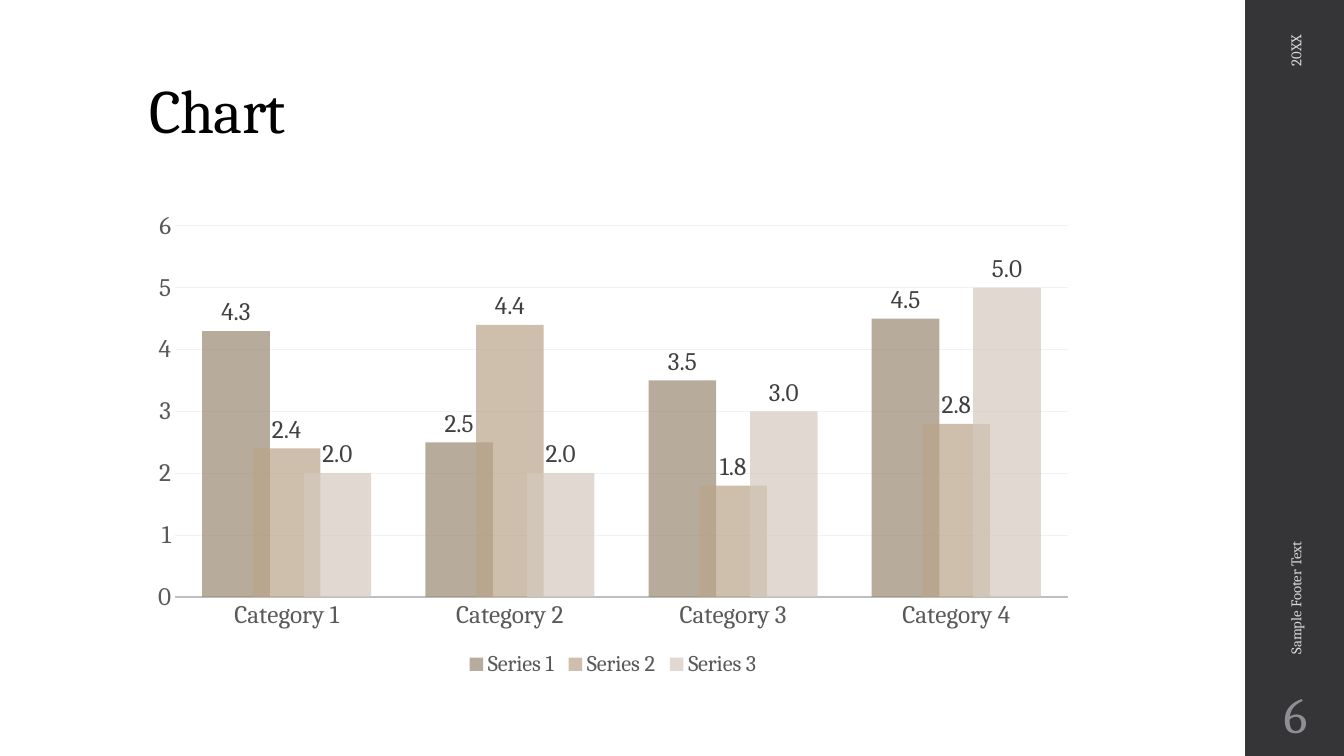
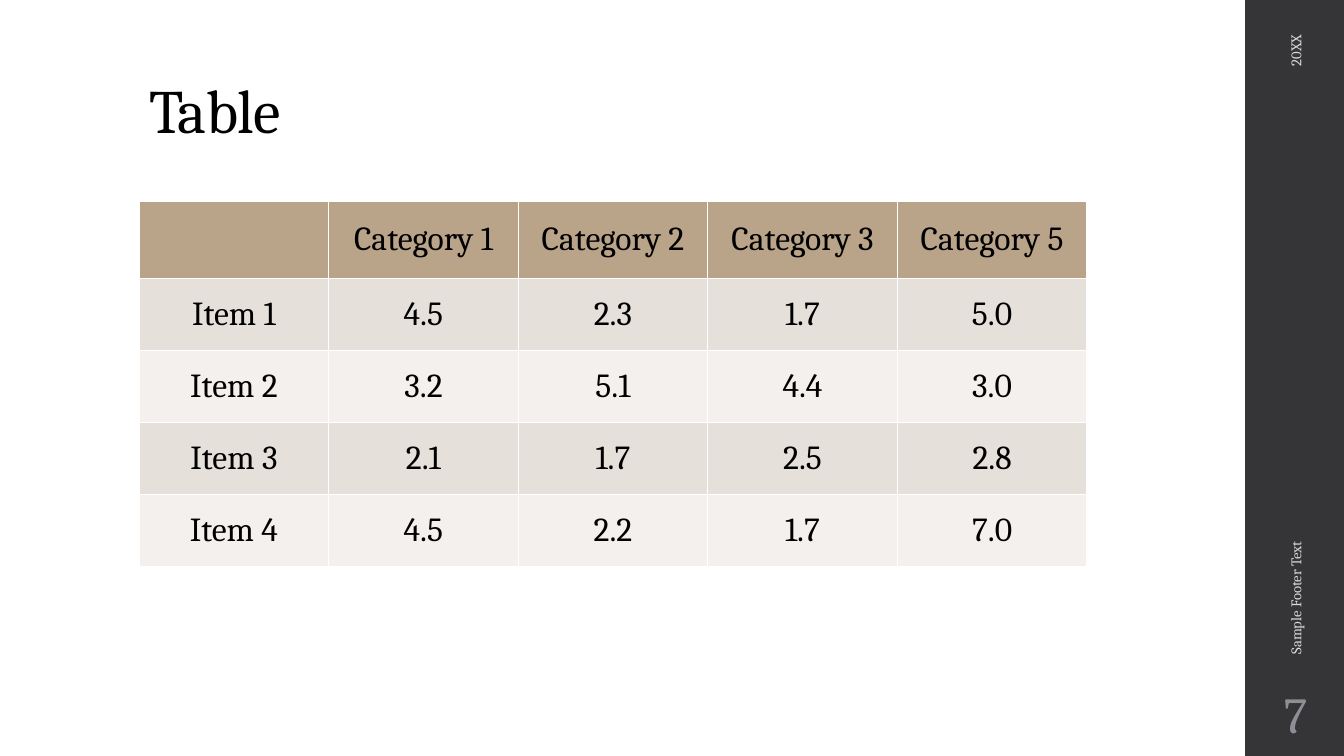
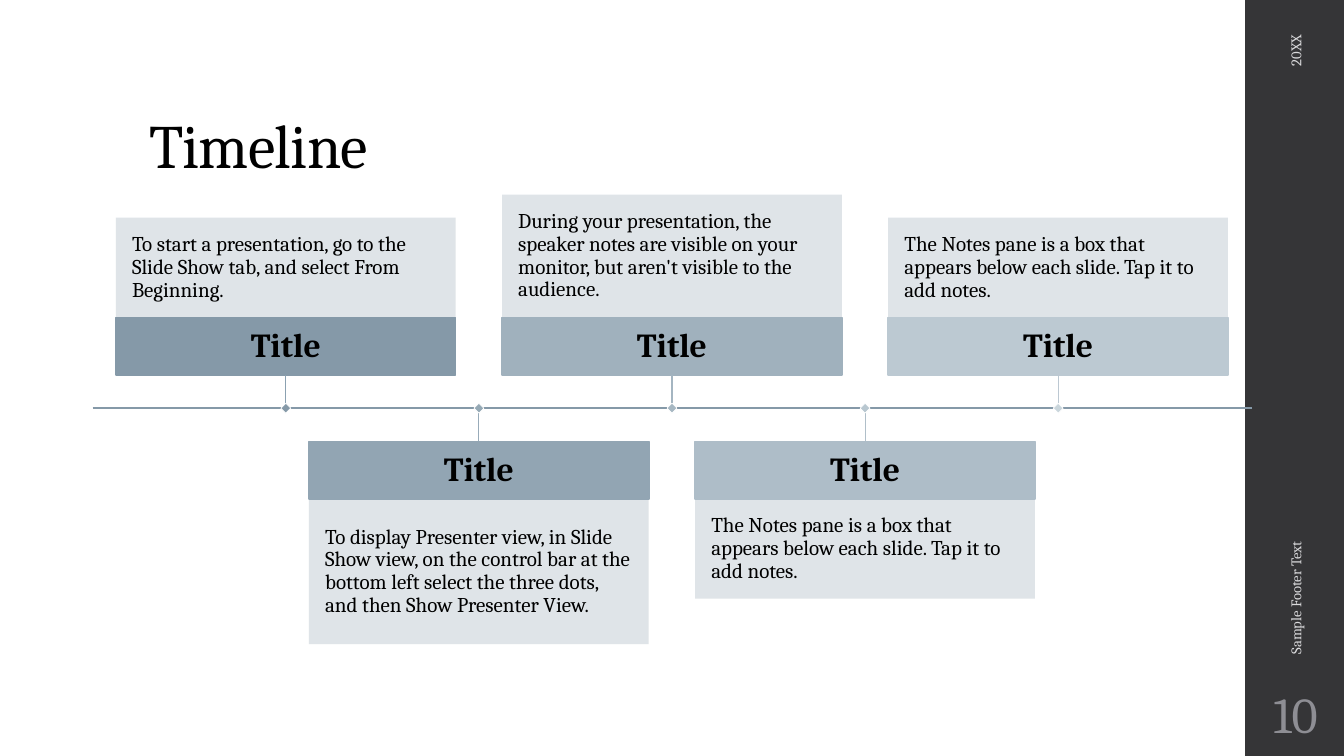
import pptx
import pptx.chart.data
import pptx.dml.color
import pptx.enum.chart
import pptx.enum.shapes
import pptx.enum.text
import pptx.oxml
import pptx.oxml.ns
import pptx.util

Inches = pptx.util.Inches
Pt = pptx.util.Pt
ALIGN = pptx.enum.text.PP_ALIGN
ANCHOR = pptx.enum.text.MSO_ANCHOR
SHAPE = pptx.enum.shapes.MSO_SHAPE
FONT = "Cambria"

COLORS = {
    "black": "000000", "white": "FFFFFF", "band": "353537",
    "foot": "D9D9DB", "page": "8E8E94",
    "axis": "BFBFBF", "grid": "F2F2F2", "tick": "595959", "value": "404040",
    "brown": "998872", "tan": "B9A489", "sand": "D5CABE",
    "odd": "E6E0DA", "even": "F3F0ED",
    "spine": "8599A8", "note": "DCE2E6",
}
BODY = (1.38, 2, 9.4)  # left, top and width of chart and table


def rgb(name):
    return pptx.dml.color.RGBColor.from_string(COLORS.get(name, name))


def style(font, size, color, bold=False):
    font.name, font.size, font.bold = FONT, Pt(size), bold
    font.color.rgb = rgb(color)


def fade(item, percent):
    """Set the opacity of a solid fill."""
    color = item._element.xpath("./*/a:solidFill/a:srgbClr")[0]
    alpha = color.makeelement(pptx.oxml.ns.qn("a:alpha"), {"val": str(percent * 1000)})
    color.append(alpha)


def write(shape, text, size, color="black", align=ALIGN.LEFT, anchor=ANCHOR.MIDDLE,
          inset=None, bold=False, spacing=None):
    frame = shape.text_frame
    frame.word_wrap, frame.vertical_anchor = True, anchor
    if inset is not None:
        frame.margin_left = frame.margin_right = Inches(inset)
        frame.margin_top = frame.margin_bottom = Inches(inset)
    para = frame.paragraphs[0]
    para.text, para.alignment = text, align
    if spacing:
        para.line_spacing = spacing
    style(para.font, size, color, bold)
    return para


def add_text(slide, box, text, size, turn=0, **look):
    shape = slide.shapes.add_textbox(*map(Inches, box))
    shape.rotation = turn
    return write(shape, text, size, **look)


def add_box(slide, box, fill, line=None, width=1.1):
    shape = slide.shapes.add_shape(SHAPE.RECTANGLE, *map(Inches, box))
    shape.shadow.inherit = False
    shape.fill.solid()
    shape.fill.fore_color.rgb = rgb(fill)
    if line:
        shape.line.color.rgb = rgb(line)
        shape.line.width = Pt(width)
    else:
        shape.line.fill.background()
    return shape


def add_line(slide, start, end, color, width):
    line = slide.shapes.add_connector(pptx.enum.shapes.MSO_CONNECTOR.STRAIGHT,
                                      *map(Inches, start + end))
    line.line.color.rgb = rgb(color)
    line.line.width = Pt(width)
    props = line._element.spPr
    props.append(props.makeelement(pptx.oxml.ns.qn("a:effectLst"), {}))


def add_page(deck, title, number, anchor=ANCHOR.MIDDLE):
    """Start a slide with its title, side band and footers."""
    slide = deck.slides.add_slide(deck.slide_layouts[6])
    add_box(slide, (12.35, 0, 0.98, 7.5), "band")
    para = add_text(slide, (1.38, 0.4, 10.6, 1.45), title, 44, anchor=anchor, spacing=0.9)
    para.runs[0]._r.get_or_add_rPr().set("spc", "-50")
    add_text(slide, (11.81, 1.09, 2.08, 0.4), "20XX", 10.5, turn=270,
             color="foot", align=ALIGN.RIGHT)
    add_text(slide, (10.89, 4.43, 3.92, 0.4), "Sample Footer Text", 10.5, turn=270,
             color="foot")
    add_text(slide, (12.35, 6.75, 1, 0.65), str(number), 36, color="page",
             align=ALIGN.CENTER, inset=0.05)
    return slide


def add_columns(slide, box, groups, series):
    kinds = pptx.enum.chart
    data = pptx.chart.data.CategoryChartData(number_format="#,##0.0")
    data.categories = groups
    for name, _, values in series:
        data.add_series(name, values)
    chart = slide.shapes.add_chart(kinds.XL_CHART_TYPE.COLUMN_CLUSTERED,
                                   *map(Inches, box), data).chart
    style(chart.font, 10, "black")
    chart.has_title = False
    chart.has_legend = True
    chart.legend.position = kinds.XL_LEGEND_POSITION.BOTTOM
    chart.legend.include_in_layout = False
    style(chart.legend.font, 16, "tick")

    # Axes
    for axis in (chart.category_axis, chart.value_axis):
        axis.major_tick_mark = axis.minor_tick_mark = kinds.XL_TICK_MARK.NONE
        style(axis.tick_labels.font, 18, "tick")
    base = chart.category_axis.format.line
    base.color.rgb, base.width = rgb("axis"), Pt(1.25)
    scale = chart.value_axis
    scale.minimum_scale, scale.maximum_scale, scale.major_unit = 0, 6, 1
    scale.tick_labels.number_format = "General"
    scale.tick_labels.number_format_is_linked = False
    scale.format.line.fill.background()
    grid = scale.major_gridlines.format.line
    grid.color.rgb, grid.width = rgb("grid"), Pt(0.75)

    # Columns and their labels
    plot = chart.plots[0]
    plot.gap_width, plot.overlap, plot.vary_by_categories = 80, 25, False
    for item, (_, color, _) in zip(plot.series, series):
        item.format.fill.solid()
        item.format.fill.fore_color.rgb = rgb(color)
        fade(item, 70)
        labels = item.data_labels
        labels.show_value = True
        labels.position = kinds.XL_LABEL_POSITION.OUTSIDE_END
        labels.number_format, labels.number_format_is_linked = "#,##0.0", False
        style(labels.font, 18, "value")


def add_borders(cell, color, width):
    props = cell._tc.get_or_add_tcPr()
    for side in "LRTB":
        props.append(pptx.oxml.parse_xml(
            f'<a:ln{side} {pptx.oxml.ns.nsdecls("a")} w="{Pt(width)}"><a:solidFill>'
            f'<a:srgbClr val="{COLORS[color]}"/></a:solidFill></a:ln{side}>'))


def add_grid(slide, box, head, rows):
    """Place a table whose first row has the height head."""
    table = slide.shapes.add_table(len(rows), len(rows[0]), *map(Inches, box)).table
    table.first_row = table.horz_banding = False
    for column in table.columns:
        column.width = Inches(box[2] / len(rows[0]))
    for index, (row, texts) in enumerate(zip(table.rows, rows)):
        row.height = Inches((box[3] - head) / (len(rows) - 1) if index else head)
        fill = ("odd" if index % 2 else "even") if index else "tan"
        for cell, text in zip(row.cells, texts):
            add_borders(cell, "white", 1)
            cell.fill.solid()
            cell.fill.fore_color.rgb = rgb(fill)
            cell.margin_left = cell.margin_right = Inches(0.08)
            cell.vertical_anchor = ANCHOR.MIDDLE
            para = cell.text_frame.paragraphs[0]
            para.text, para.alignment = text, ALIGN.CENTER
            style(para.font, 24, "black")


def add_timeline(slide, box, events):
    """Place cards above and below a spine; box is left, spine height, length."""
    left, spine, length = box
    wide, bar, stem, step, dot = 3.37, 0.57, 0.33, 1.915, 0.07
    add_line(slide, (left, spine), (left + length, spine), "spine", 1.1)
    for index, (tone, stalk, mark, tall, text) in enumerate(events):
        x = left + 0.23 + index * step
        mid = x + wide / 2
        if index % 2:
            end = top = spine + stem
            note = top + bar
        else:
            end = spine - stem
            top = end - bar
            note = top - tall
        card = add_box(slide, (x, note, wide, tall), "note")
        fade(card, 90)
        write(card, text, 15, inset=0.16, spacing=0.9)
        write(add_box(slide, (x, top, wide, bar), tone, tone), "Title", 24,
              align=ALIGN.CENTER, inset=0.13, bold=True, spacing=0.9)
        add_line(slide, (mid, end), (mid, spine), stalk, 0.75)
        knot = add_box(slide, (mid - dot / 2, spine - dot / 2, dot, dot), mark, "white", 0.5)
        knot.rotation = 45


def main():
    deck = pptx.Presentation()
    deck.slide_width, deck.slide_height = Inches(13.33), Inches(7.5)

    # Chart
    add_columns(add_page(deck, "Chart", 6), BODY + (4.76,),
                [f"Category {n}" for n in range(1, 5)],
                [("Series 1", "brown", (4.3, 2.5, 3.5, 4.5)),
                 ("Series 2", "tan", (2.4, 4.4, 1.8, 2.8)),
                 ("Series 3", "sand", (2, 2, 3, 5))])

    # Table
    add_grid(add_page(deck, "Table", 7), BODY + (3.62,), 0.76, [
        ("", "Category 1", "Category 2", "Category 3", "Category 5"),
        ("Item 1", "4.5", "2.3", "1.7", "5.0"),
        ("Item 2", "3.2", "5.1", "4.4", "3.0"),
        ("Item 3", "2.1", "1.7", "2.5", "2.8"),
        ("Item 4", "4.5", "2.2", "1.7", "7.0"),
    ])

    # Timeline: bar, stem and marker colours, note height, note
    pane = "The Notes pane is a box that appears below each slide. Tap it to add notes."
    add_timeline(add_page(deck, "Timeline", 10, ANCHOR.BOTTOM), (0.92, 4.05, 11.5), [
        ("8599A8", "8BA1B1", "8599A8", 0.99,
         "To start a presentation, go to the Slide Show tab, and select From Beginning."),
        ("92A5B3", "98ABB9", "95A9B5", 1.44,
         "To display Presenter view, in Slide Show view, on the control bar at the "
         "bottom left select the three dots, and then Show Presenter View."),
        ("A0B1BD", "A4B5C1", "A7B8C3", 1.22,
         "During your presentation, the speaker notes are visible on your monitor, "
         "but aren't visible to the audience."),
        ("AEBDC8", "B0BFC9", "B8C7D0", 0.99, pane),
        ("BCC9D2", "BCC8D2", "CAD6DC", 0.99, pane),
    ])
    deck.save("out.pptx")


if __name__ == "__main__":
    main()
